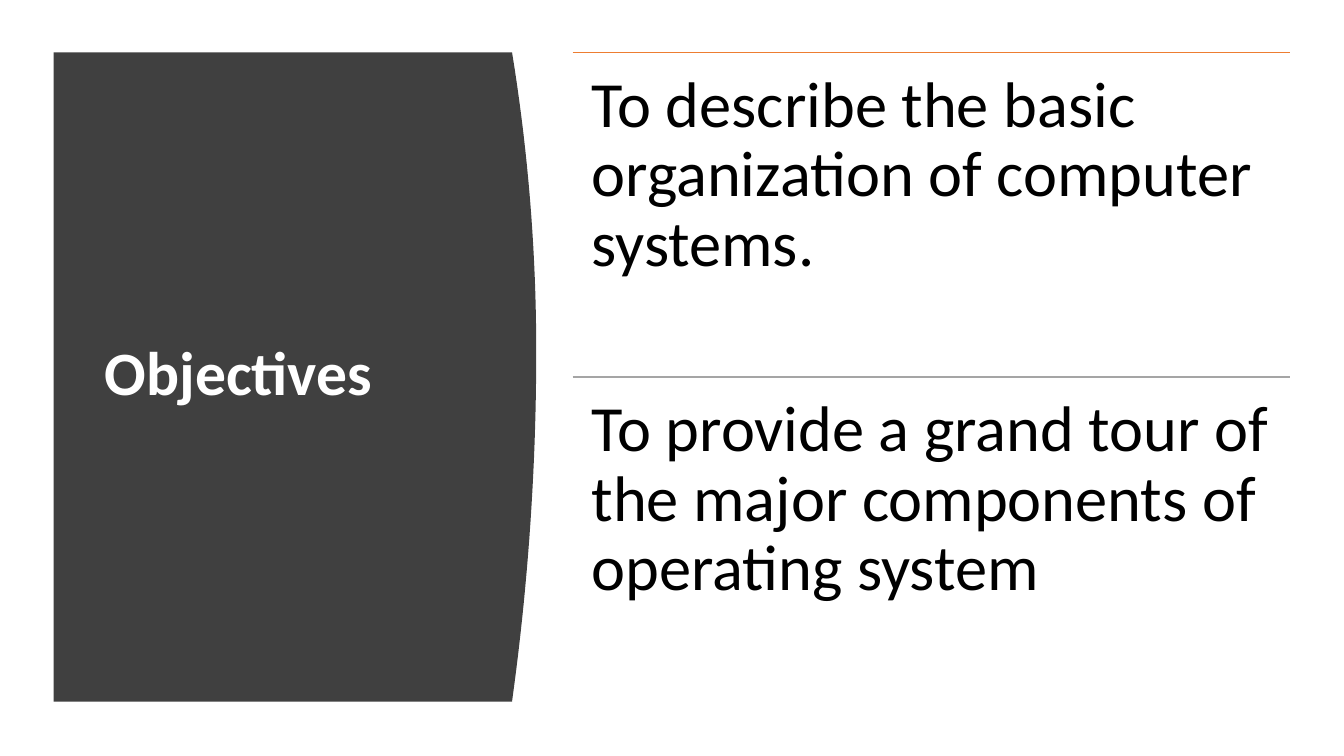
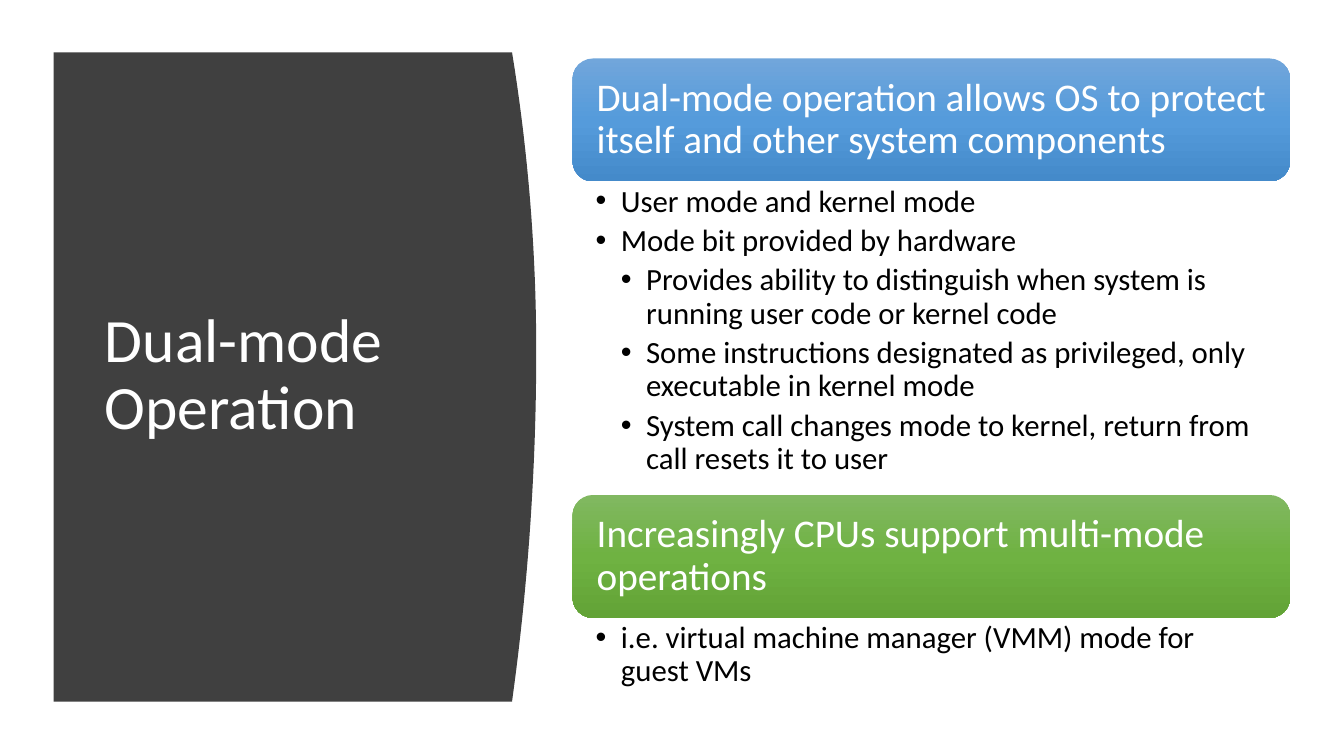
import copy

import lxml.etree
import pptx
import pptx.dml.color
import pptx.enum.shapes
import pptx.enum.text
import pptx.oxml.ns
import pptx.util

WIDTH = pptx.util.Inches(13.33)
HEIGHT = pptx.util.Inches(7.5)
FONT = "Calibri"
COLORS = {
    "panel": "404040",
    "light": "FFFFFF",
    "dark": "000000",
    "orange": "ED7D31",
    "gray": "A5A5A5",
}
BLUE_BAND = ["71A6DB", "559BDB", "448ACA"]
GREEN_BAND = ["81B861", "6FB242", "62A336"]

TOP, BOTTOM = 6.93, 92.8
PANEL_LEFT, PANEL_EDGE, PANEL_PEAK = 4, 38.1, 39.9
CONTENT_LEFT, CONTENT_WIDTH = 42.6, 53.4
CURVE_STEPS = 40
CURVE_CENTER = 0.46

OBJECTIVES = [
    ("To describe the basic organization of computer systems.", "orange"),
    ("To provide a grand tour of the major components of operating system", "gray"),
]
BAND_HEIGHT = 16.27
BANDS_TOP = 7.73
SECTIONS = [
    (
        "Dual-mode operation allows OS to protect itself and other system components",
        BLUE_BAND,
        41.47,
        [
            (1, "User mode and kernel mode"),
            (1, "Mode bit provided by hardware"),
            (2, "Provides ability to distinguish when system is running user code or kernel code"),
            (2, "Some instructions designated as privileged, only executable in kernel mode"),
            (2, "System call changes mode to kernel, return from call resets it to user"),
        ],
    ),
    (
        "Increasingly CPUs support multi-mode operations",
        GREEN_BAND,
        10.13,
        [(1, "i.e. virtual machine manager (VMM) mode for guest VMs")],
    ),
]


def across(share):
    return round(WIDTH * share / 100)


def down(share):
    return round(HEIGHT * share / 100)


def area(left, top, width, height):
    return across(left), down(top), across(width), down(height)


def place(box, left, top, width, height):
    box.left, box.top, box.width, box.height = area(left, top, width, height)


def rgb(value):
    return pptx.dml.color.RGBColor.from_string(value)


def add_bullet(para, level):
    para.level = level
    properties = para._p.get_or_add_pPr()
    step = pptx.util.Inches(0.25)
    properties.set("marL", str(step * level))
    properties.set("indent", str(-step))
    bullet = lxml.etree.SubElement(properties, pptx.oxml.ns.qn("a:buChar"))
    bullet.set("char", "•")


def write_text(box, lines, size, color="dark", bold=False, after=0.0,
               middle=False, margins=(0.1, 0.05)):
    frame = box.text_frame
    frame.word_wrap = True
    frame.auto_size = pptx.enum.text.MSO_AUTO_SIZE.NONE
    anchors = pptx.enum.text.MSO_ANCHOR
    frame.vertical_anchor = anchors.MIDDLE if middle else anchors.TOP
    side, edge = (pptx.util.Inches(margin) for margin in margins)
    frame.margin_left = frame.margin_right = side
    frame.margin_top = frame.margin_bottom = edge
    for index, (level, text) in enumerate(lines):
        para = frame.add_paragraph() if index else frame.paragraphs[0]
        para.alignment = pptx.enum.text.PP_ALIGN.LEFT
        para.line_spacing = 0.9
        para.space_before = pptx.util.Pt(0)
        para.space_after = pptx.util.Pt(size * after)
        if level:
            add_bullet(para, level)
        span = para.add_run()
        span.text = text
        span.font.name = FONT
        span.font.size = pptx.util.Pt(size)
        span.font.bold = bold
        span.font.color.rgb = rgb(COLORS[color])


def add_panel(page):
    outline = page.shapes.build_freeform(across(PANEL_LEFT), down(TOP))
    points = []
    for step in range(CURVE_STEPS + 1):
        share = step / CURVE_STEPS
        reach = CURVE_CENTER if share < CURVE_CENTER else 1 - CURVE_CENTER
        bend = ((share - CURVE_CENTER) / reach) ** 2
        points.append((
            across(PANEL_PEAK - (PANEL_PEAK - PANEL_EDGE) * bend),
            down(TOP + (BOTTOM - TOP) * share),
        ))
    points.append((across(PANEL_LEFT), down(BOTTOM)))
    outline.add_line_segments(points, close=True)
    panel = outline.convert_to_shape()
    panel.shadow.inherit = False
    panel.fill.solid()
    panel.fill.fore_color.rgb = rgb(COLORS["panel"])
    panel.line.fill.background()
    page.shapes.element.insert(2, panel.element)


def add_page(deck, layout_name, title, bold=False):
    page = deck.slides.add_slide(deck.slide_layouts.get_by_name(layout_name))
    add_panel(page)
    place(page.shapes.title, 7.05, 14.8, 28.05, 69.87)
    write_text(page.shapes.title, [(0, title)], 44, color="light", bold=bold, middle=True)
    return page


def add_rule(page, top, color):
    rule = page.shapes.add_connector(
        pptx.enum.shapes.MSO_CONNECTOR.STRAIGHT,
        across(CONTENT_LEFT), down(top),
        across(CONTENT_LEFT + CONTENT_WIDTH), down(top),
    )
    rule.line.color.rgb = rgb(COLORS[color])
    rule.line.width = pptx.util.Pt(1)
    lxml.etree.SubElement(rule.element.spPr, pptx.oxml.ns.qn("a:effectLst"))


def add_statement(page, top, height, text, color):
    add_rule(page, top, color)
    box = page.shapes.add_textbox(*area(CONTENT_LEFT, top, CONTENT_WIDTH, height))
    write_text(box, [(0, text)], 46, after=0.35, margins=(0.19, 0.19))


def fill_gradient(shape, shades):
    shape.fill.gradient()
    shape.fill.gradient_angle = 270
    stops = shape.element.spPr.find(".//" + pptx.oxml.ns.qn("a:gsLst"))
    stops.insert(1, copy.deepcopy(stops[0]))
    for index, (stop, shade) in enumerate(zip(shape.fill.gradient_stops, shades)):
        stop.position = index / (len(shades) - 1)
        stop.color.rgb = rgb(shade)


def add_band(page, top, text, shades):
    band = page.shapes.add_shape(
        pptx.enum.shapes.MSO_SHAPE.ROUNDED_RECTANGLE,
        *area(CONTENT_LEFT, top, CONTENT_WIDTH, BAND_HEIGHT),
    )
    band.shadow.inherit = False
    band.line.fill.background()
    fill_gradient(band, shades)
    write_text(band, [(0, text)], 28, color="light", after=0.35, middle=True,
               margins=(0.18, 0.18))


def fill_list(body, top, height, lines):
    place(body, CONTENT_LEFT, top, CONTENT_WIDTH, height)
    write_text(body, lines, 22, after=0.2, margins=(0.23, 0.04))


def add_objectives(deck):
    page = add_page(deck, "Title Only", "Objectives", bold=True)
    height = (BOTTOM - TOP) / len(OBJECTIVES)
    for index, (text, color) in enumerate(OBJECTIVES):
        add_statement(page, TOP + index * height, height, text, color)


def add_dual_mode(deck):
    page = add_page(deck, "Two Content", "Dual-mode Operation")
    top = BANDS_TOP
    for index, (heading, shades, height, lines) in enumerate(SECTIONS):
        add_band(page, top, heading, shades)
        top += BAND_HEIGHT
        fill_list(page.placeholders[index + 1], top, height, lines)
        top += height


def main():
    deck = pptx.Presentation()
    deck.slide_width, deck.slide_height = WIDTH, HEIGHT
    add_objectives(deck)
    add_dual_mode(deck)
    deck.save("out.pptx")


if __name__ == "__main__":
    main()
